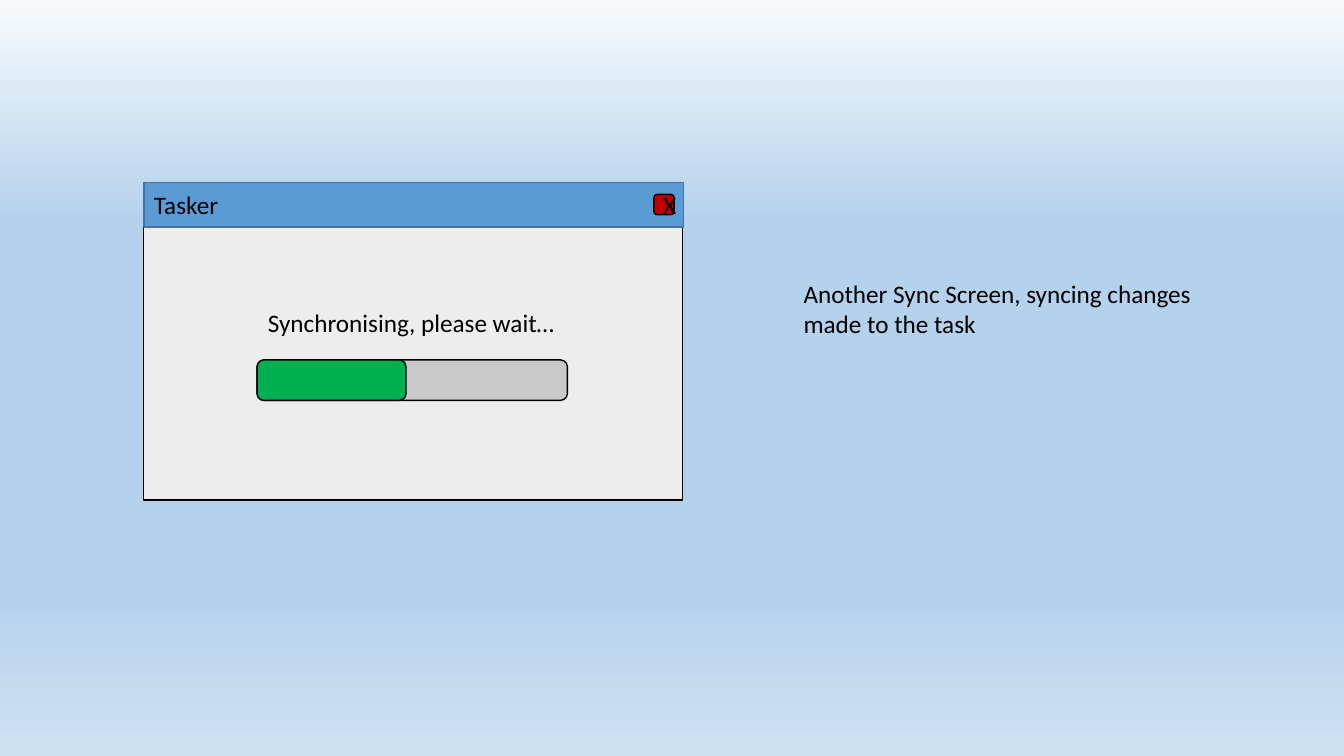
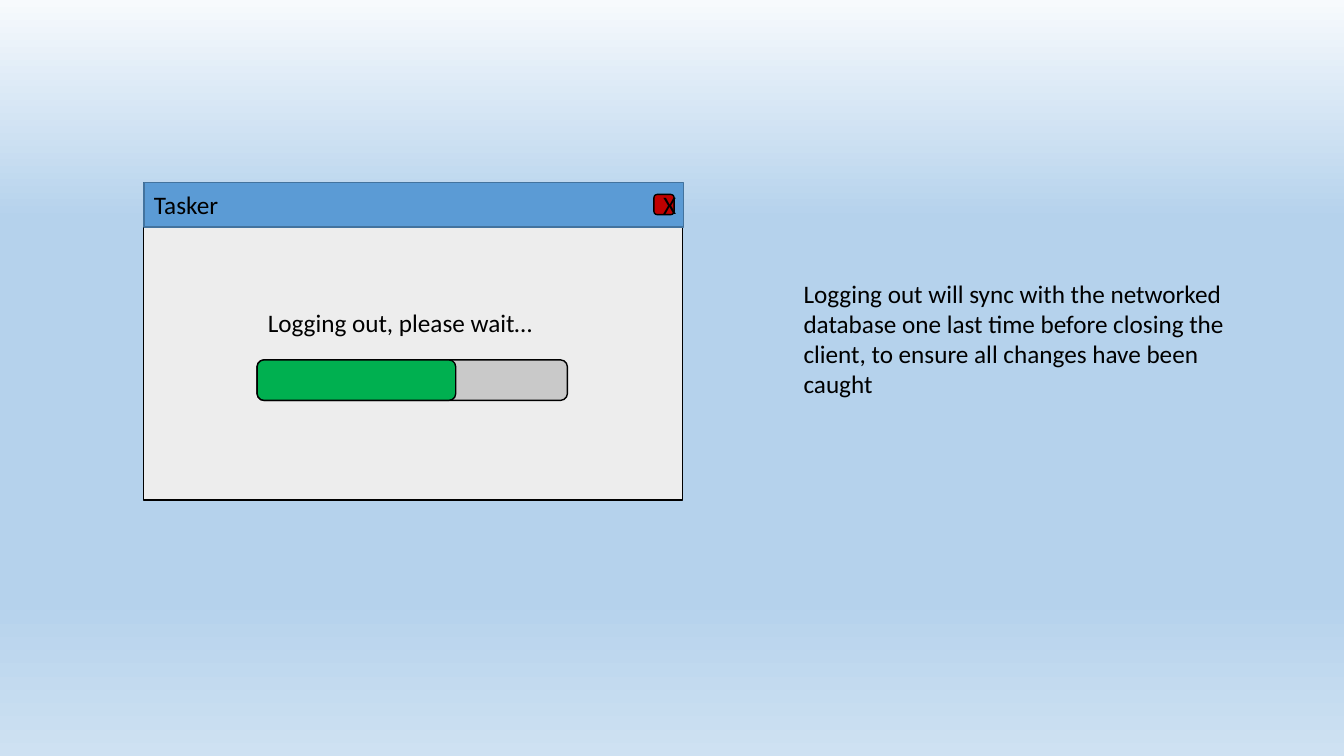
from copy import deepcopy

from pptx import Presentation
from pptx.dml.color import RGBColor
from pptx.enum.shapes import MSO_SHAPE as Preset
from pptx.enum.text import MSO_ANCHOR as Anchor, MSO_AUTO_SIZE as AutoSize, PP_ALIGN as Align
from pptx.oxml.ns import qn
from pptx.util import Cm, Pt

FONT = "Calibri"
BLACK = RGBColor(0x00, 0x00, 0x00)
WINDOW_GREY = RGBColor(0xED, 0xED, 0xED)
TRACK_GREY = RGBColor(0xC9, 0xC9, 0xC9)
BAR_BLUE = RGBColor(0x5B, 0x9B, 0xD5)
BAR_EDGE = RGBColor(0x43, 0x73, 0x9E)
PROGRESS_GREEN = RGBColor(0x00, 0xB0, 0x50)
CLOSE_RED = RGBColor(0xC0, 0x00, 0x00)
SKY = RGBColor(0xB5, 0xD2, 0xEC)
BACKGROUND_STOPS = (
    (0, RGBColor(0xF7, 0xFA, 0xFD)),
    (0.29, SKY),
    (0.79, SKY),
    (1, RGBColor(0xCE, 0xE1, 0xF2)),
)

BLANK_LAYOUT = 6
WINDOW_WIDTH = 13.59
TRACK_LEFT, TRACK_TOP = 6.48, 9.07
TRACK_WIDTH, TRACK_HEIGHT = 7.82, 1.02

# message, share of the progress bar that is filled, note, height of the note
SCREENS = (
    ("Synchronising, please wait…", 0.48,
     "Another Sync Screen, syncing changes made to the task", 1.8),
    ("Logging out, please wait…", 0.64,
     "Logging out will sync with the networked database one last time "
     "before closing the client, to ensure all changes have been caught", 3.33),
)


def set_background(master):
    """Give the master a vertical gradient that every slide inherits."""
    fill = master.background.fill
    fill.gradient()
    fill.gradient_angle = 270
    stop_list = master.element.find(".//" + qn("a:gsLst"))
    while len(stop_list) < len(BACKGROUND_STOPS):
        stop_list.append(deepcopy(stop_list[0]))
    for stop, (position, color) in zip(fill.gradient_stops, BACKGROUND_STOPS):
        stop.position = position
        stop.color.rgb = color


def write_text(shape, text, align=Align.LEFT, anchor=Anchor.TOP):
    """Put black 18 point text into a shape."""
    frame = shape.text_frame
    frame.word_wrap = True
    frame.vertical_anchor = anchor
    paragraph = frame.paragraphs[0]
    paragraph.alignment = align
    run = paragraph.add_run()
    run.text = text
    run.font.name = FONT
    run.font.size = Pt(18)
    run.font.color.rgb = BLACK


def add_box(slide, left, top, width, height, fill, line=BLACK, preset=Preset.RECTANGLE):
    """Add a filled, outlined shape without a shadow; lengths in cm."""
    shape = slide.shapes.add_shape(preset, Cm(left), Cm(top), Cm(width), Cm(height))
    shape.shadow.inherit = False
    shape.fill.solid()
    shape.fill.fore_color.rgb = fill
    shape.line.color.rgb = line
    shape.line.width = Pt(1)
    return shape


def add_label(slide, left, top, width, height, text):
    """Add a wrapping text box that grows with its text; lengths in cm."""
    label = slide.shapes.add_textbox(Cm(left), Cm(top), Cm(width), Cm(height))
    write_text(label, text)
    label.text_frame.auto_size = AutoSize.SHAPE_TO_FIT_TEXT


def add_window(slide):
    """Add the application window and its title bar."""
    add_box(slide, 3.61, 4.6, WINDOW_WIDTH, 8, WINDOW_GREY)
    title_bar = add_box(slide, 3.63, 4.6, WINDOW_WIDTH, 1.12, BAR_BLUE, line=BAR_EDGE)
    write_text(title_bar, "Tasker", anchor=Anchor.MIDDLE)


def add_close_button(slide):
    """Add the red close button of the window."""
    button = add_box(slide, 16.48, 4.9, 0.51, 0.51, CLOSE_RED,
                     preset=Preset.ROUNDED_RECTANGLE)
    write_text(button, "X", align=Align.CENTER, anchor=Anchor.MIDDLE)


def add_progress_bar(slide, share):
    """Add the track and, over it, the finished share."""
    for width, color in ((TRACK_WIDTH, TRACK_GREY), (TRACK_WIDTH * share, PROGRESS_GREEN)):
        add_box(slide, TRACK_LEFT, TRACK_TOP, width, TRACK_HEIGHT, color,
                preset=Preset.ROUNDED_RECTANGLE)


def add_screen(presentation, message, share, note, note_height):
    """Add one slide with a waiting window and a note beside it."""
    slide = presentation.slides.add_slide(presentation.slide_layouts[BLANK_LAYOUT])
    add_window(slide)
    add_label(slide, 6.5, 7.62, 7.84, 1.02, message)
    add_progress_bar(slide, share)
    add_label(slide, 20, 6.88, 11.56, note_height, note)
    add_close_button(slide)


def main():
    """Build and save the presentation."""
    presentation = Presentation()
    presentation.slide_width = Cm(33.87)
    presentation.slide_height = Cm(19.05)
    set_background(presentation.slide_master)
    for screen in SCREENS:
        add_screen(presentation, *screen)
    presentation.save("out.pptx")


main()
